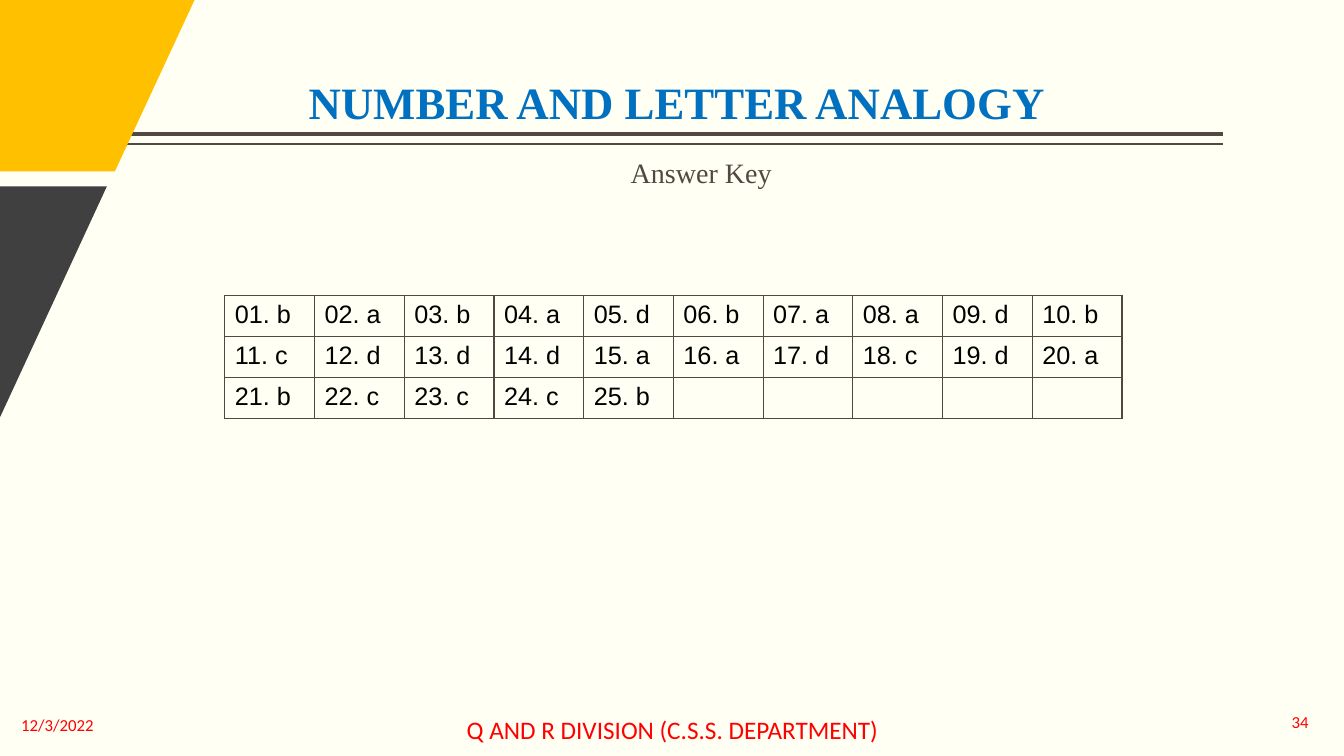
from lxml import etree
from pptx import Presentation
from pptx.dml.color import RGBColor
from pptx.enum.shapes import MSO_CONNECTOR
from pptx.enum.text import MSO_ANCHOR, MSO_AUTO_SIZE, PP_ALIGN
from pptx.oxml.ns import qn
from pptx.util import Pt

PX = 9144  # 100 px to the inch
LEFT, CENTER, RIGHT = PP_ALIGN.LEFT, PP_ALIGN.CENTER, PP_ALIGN.RIGHT
TOP, MIDDLE, BOTTOM = MSO_ANCHOR.TOP, MSO_ANCHOR.MIDDLE, MSO_ANCHOR.BOTTOM
STRAIGHT = MSO_CONNECTOR.STRAIGHT
NO_AUTOFIT = MSO_AUTO_SIZE.NONE
SERIF, SANS, FOOTER_FONT = "Times New Roman", "Arial", "Calibri"

COLORS = {
    "background": "FFFFF3",
    "rule": "514843",
    "gold": "FFC000",
    "charcoal": "404040",
    "title": "0070C0",
    "footer": "FF0000",
    "answer": "000000",
}
ANSWERS = "babadbaadbcdddaadcdabcccb"
ROWS, COLUMNS = 3, 10


def color(name):
    return RGBColor.from_string(COLORS[name])


def scaled(box):
    return [value * PX for value in box]


def format_font(font, name, size, color_name, bold=False):
    font.name, font.size, font.bold = name, Pt(size), bold
    font.color.rgb = color(color_name)


def write_text(shape, box, text, style, align, anchor, insets=(0, 5, 0, 5)):
    """Place a text shape and format its single paragraph."""
    shape.left, shape.top, shape.width, shape.height = scaled(box)
    frame = shape.text_frame
    frame.text = text
    frame.word_wrap = True
    frame.auto_size = NO_AUTOFIT
    frame.vertical_anchor = anchor
    (frame.margin_left, frame.margin_top,
     frame.margin_right, frame.margin_bottom) = scaled(insets)
    paragraph = frame.paragraphs[0]
    paragraph.alignment = align
    format_font(paragraph.runs[0].font, *style)
    return paragraph


def add_rules(slide, box):
    left, top, width, height = box
    for y, weight in ((top, 3), (top + height, 1)):
        rule = slide.shapes.add_connector(
            STRAIGHT, *scaled((left + width, y, left, y)))
        rule.line.color.rgb = color("rule")
        rule.line.width = Pt(weight)
        etree.SubElement(rule.line._get_or_add_ln().getparent(),
                         qn("a:effectLst"))


def add_polygon(slide, points, color_name):
    builder = slide.shapes.build_freeform(*points[0], scale=PX)
    builder.add_line_segments(points[1:], close=True)
    polygon = builder.convert_to_shape()
    polygon.shadow.inherit = False
    polygon.fill.solid()
    polygon.fill.fore_color.rgb = color(color_name)
    polygon.line.fill.background()


def add_corner(slide, box):
    """Draw the gold and charcoal panels that share a slanted edge."""
    left, top, width, height = box
    gold_bottom, charcoal_top = top + 170, top + 185
    add_polygon(slide, [(left, top), (left + width, top),
                        (left + 114, gold_bottom), (left, gold_bottom)], "gold")
    add_polygon(slide, [(left, charcoal_top), (left + 106, charcoal_top),
                        (left, top + height)], "charcoal")


def fill_headings(slide, title_box, body_box):
    title = write_text(slide.shapes.title, title_box, "NUMBER AND LETTER ANALOGY",
                       (SERIF, 32, "title", True), LEFT, BOTTOM, (200, 5, 0, 57))
    title.line_spacing = 0.9

    body = write_text(slide.placeholders[1], body_box, "Answer Key",
                      (SERIF, 20, "rule"), CENTER, TOP)
    body.line_spacing = 0.9
    body.space_before = Pt(0)
    properties = body._p.get_or_add_pPr()
    properties.set("marL", "0")
    properties.set("indent", "0")
    etree.SubElement(properties, qn("a:buNone"))


def add_borders(cell):
    properties = cell._tc.get_or_add_tcPr()
    for position, side in enumerate(("lnL", "lnR", "lnT", "lnB")):
        border = etree.Element(qn(f"a:{side}"), w=str(Pt(1)))
        fill = etree.SubElement(border, qn("a:solidFill"))
        etree.SubElement(fill, qn("a:srgbClr"), val=COLORS["rule"])
        properties.insert(position, border)


def add_answer_table(slide, box):
    table = slide.shapes.add_table(ROWS, COLUMNS, *scaled(box)).table
    table.first_row = table.horz_banding = False
    for index, cell in enumerate(table.iter_cells()):
        cell.fill.background()
        add_borders(cell)
        if index < len(ANSWERS):
            cell.text = f"{index + 1:02}. {ANSWERS[index]}"
            format_font(cell.text_frame.paragraphs[0].runs[0].font,
                        SANS, 18, "answer")


def add_footer(slide, box, text, size, align):
    shape = slide.shapes.add_textbox(*scaled(box))
    write_text(shape, box, text, (FOOTER_FONT, size, "footer"), align, MIDDLE)


def main():
    presentation = Presentation()
    presentation.slide_width, presentation.slide_height = scaled((1333, 750))
    slide = presentation.slides.add_slide(presentation.slide_layouts[1])
    slide.background.fill.solid()
    slide.background.fill.fore_color.rgb = color("background")

    add_rules(slide, (121, 133, 1092, 10))
    add_corner(slide, (0, 0, 193, 414))
    fill_headings(slide, (106, 65, 1091, 120), (129, 153, 1133, 495))
    add_answer_table(slide, (223, 293, 890, 122))
    add_footer(slide, (321, 704, 692, 40),
               "Q AND R DIVISION (C.S.S. DEPARTMENT)", 18, CENTER)
    add_footer(slide, (21, 699, 200, 40), "12/3/2022", 12, LEFT)
    add_footer(slide, (1098, 696, 200, 40), "34", 12, RIGHT)
    presentation.save("out.pptx")


if __name__ == "__main__":
    main()
